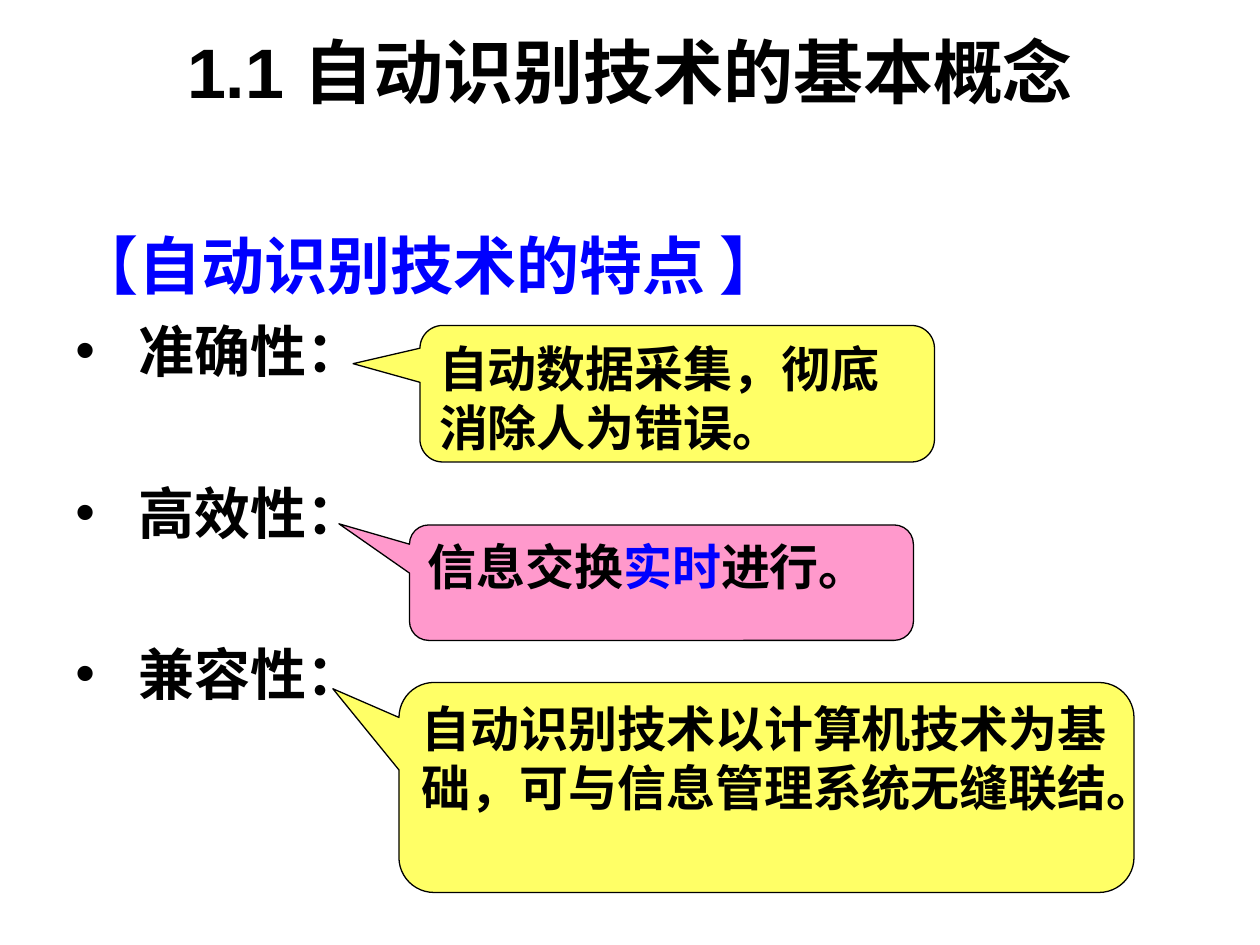
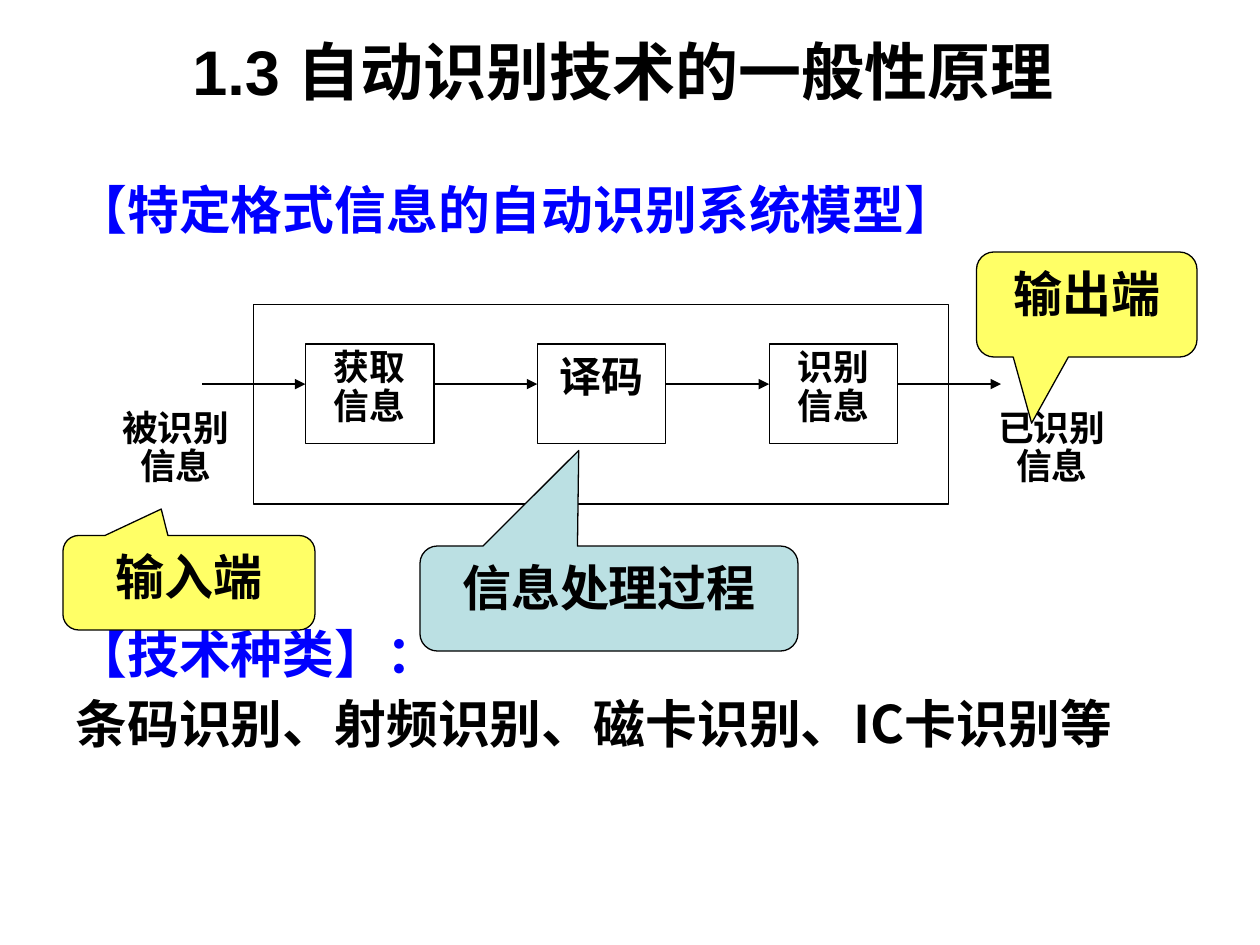
from dataclasses import dataclass

from lxml import etree
from pptx import Presentation
from pptx.dml.color import RGBColor
from pptx.enum.shapes import MSO_CONNECTOR, MSO_SHAPE
from pptx.enum.text import MSO_ANCHOR, PP_ALIGN
from pptx.oxml.ns import qn
from pptx.util import Pt

LEFT, MID = PP_ALIGN.LEFT, PP_ALIGN.CENTER
TOP, CENTRE = MSO_ANCHOR.TOP, MSO_ANCHOR.MIDDLE
RECT, BUBBLE = MSO_SHAPE.RECTANGLE, MSO_SHAPE.ROUNDED_RECTANGULAR_CALLOUT
LINE = MSO_CONNECTOR.STRAIGHT
TITLE_ONLY = 5


@dataclass(frozen=True)
class Theme:
    black: str = "000000"
    blue: str = "0000FF"
    white: str = "FFFFFF"
    yellow: str = "FFFF66"
    pink: str = "FF99CC"
    teal: str = "BBE0E3"
    sans: str = "Arial"
    body: str = "Noto Sans CJK SC"
    serif: str = "Times New Roman"
    head: float = 36
    point: float = 32
    note: float = 28
    topic: float = 29.6
    step: float = 24
    label: float = 20.4
    rule: float = 0.75


T = Theme()


def apply(obj, form):
    """Set each attribute named in the dict."""
    for key, value in form.items():
        setattr(obj, key, value)


def write(par, runs, size, face, form=None):
    """Fill a paragraph with (text, colour) runs."""
    apply(par, form or {})
    for text, tint in runs:
        run = par.add_run()
        run.text = text
        apply(run.font, {"size": Pt(size), "name": face, "bold": True})
        run.font.color.rgb = RGBColor.from_string(tint)


def indent(par, left, bullet=False):
    """Hang the first line, with a bullet if asked for."""
    props = par._p.get_or_add_pPr()
    props.set("marL", str(Pt(left)))
    props.set("indent", str(-Pt(left)))
    if bullet:
        etree.SubElement(props, qn("a:buFont")).set("typeface", T.sans)
        etree.SubElement(props, qn("a:buChar")).set("char", "•")


def add_slide(deck, title, size):
    """Start a slide with its centred title."""
    slide = deck.slides.add_slide(deck.slide_layouts[TITLE_ONLY])
    head = slide.shapes.title
    apply(head, {"left": Pt(36), "top": Pt(6),
                 "width": Pt(648), "height": Pt(68)})
    apply(head.text_frame, {"vertical_anchor": CENTRE, "word_wrap": True})
    write(head.text_frame.paragraphs[0], [(title, T.black)], size, T.sans,
          {"alignment": MID})
    return slide


def add_body(slide, box, rows, left, pitch=1.0):
    """Rows are (text, size, colour, space before, bullet)."""
    frame = slide.shapes.add_textbox(*map(Pt, box)).text_frame
    frame.word_wrap = True
    for i, (text, size, tint, gap, bullet) in enumerate(rows):
        par = frame.add_paragraph() if i else frame.paragraphs[0]
        form = {"alignment": LEFT, "line_spacing": pitch}
        if gap:
            form["space_before"] = Pt(gap)
        write(par, [(text, tint)], size, T.body, form)
        indent(par, left, bullet)


def add_box(slide, kind, box, fill=None, line=True):
    """Draw a flat shape."""
    shape = slide.shapes.add_shape(kind, *map(Pt, box))
    shape.shadow.inherit = False
    if fill:
        shape.fill.solid()
        shape.fill.fore_color.rgb = RGBColor.from_string(fill)
    else:
        shape.fill.background()
    if line:
        shape.line.color.rgb = RGBColor.from_string(T.black)
        shape.line.width = Pt(T.rule)
    else:
        shape.line.fill.background()
    apply(shape.text_frame, {"word_wrap": True, "vertical_anchor": TOP})
    return shape


def add_note(slide, box, tip, fill, runs, align=LEFT):
    """Draw a callout whose tip is given relative to its size."""
    shape = add_box(slide, BUBBLE, box, fill)
    for i, value in enumerate(tip):
        shape.adjustments[i] = value
    write(shape.text_frame.paragraphs[0], runs, T.note, T.sans,
          {"alignment": align})


def add_label(slide, box, text, size=T.label, pitch=0.9, line=True):
    """Draw a white box with a centred label."""
    shape = add_box(slide, RECT, box, T.white, line)
    write(shape.text_frame.paragraphs[0], [(text, T.black)], size, T.serif,
          {"alignment": MID, "line_spacing": pitch})


def add_arrow(slide, x, y, size):
    """Draw an arrow to the right."""
    arrow = slide.shapes.add_connector(LINE, Pt(x), Pt(y), Pt(x + size), Pt(y))
    arrow.line.color.rgb = RGBColor.from_string(T.black)
    arrow.line.width = Pt(T.rule)
    props = arrow._element.spPr
    etree.SubElement(props.find(qn("a:ln")), qn("a:tailEnd")).set("type", "triangle")
    etree.SubElement(props, qn("a:effectLst"))


def add_traits(deck):
    slide = add_slide(deck, "1.1 自动识别技术的基本概念", 40)
    # Heading and the three traits
    traits = ["准确性：", "高效性：", "兼容性："]
    rows = [("【自动识别技术的特点 】", T.head, T.blue, 0, False)]
    rows += [(name, T.point, T.black, 54 if i else 8, True)
             for i, name in enumerate(traits)]
    add_body(slide, (36, 126, 648, 356), rows, 36)
    # What each trait means
    add_note(slide, (240, 186, 294, 78), (-0.63, -0.22), T.yellow,
             [("自动数据采集，彻底消除人为错误。", T.black)])
    add_note(slide, (234, 300, 288, 66), (-0.64, -0.51), T.pink,
             [("信息交换", T.black), ("实时", T.blue), ("进行。", T.black)])
    add_note(slide, (228, 390, 420, 120), (-0.59, -0.47), T.yellow,
             [("自动识别技术以计算机技术为基础，可与信息管理系统无缝联结。", T.black)])


def add_model(deck):
    slide = add_slide(deck, "1.3 自动识别技术的一般性原理 ", 36)
    # Headings and the kinds of technology
    add_body(slide, (36, 102, 666, 396), [
        ("【特定格式信息的自动识别系统模型】", T.topic, T.blue, 0, False),
        ("【技术种类】：", T.topic, T.blue, 222, False),
        ("条码识别、射频识别、磁卡识别、IC卡识别等", T.topic, T.black, 8, False),
    ], 27, 0.9)
    # System frame, its steps and the flow through them
    add_box(slide, RECT, (145, 174, 397, 114))
    start, wide, gap = 115.5, 73.5, 59
    steps = [("获取信息", T.label, 0.9), ("译码", T.step, 1.0),
             ("识别信息", T.label, 0.9)]
    for i, (text, size, pitch) in enumerate(steps):
        x = start + gap + i * (wide + gap)
        add_label(slide, (x, 196.5, wide, 57), text, size, pitch)
    for i in range(len(steps) + 1):
        add_arrow(slide, start + i * (wide + gap), 219.5, gap)
    # Input and output
    for x, text in [(56.5, "被识别信息"), (557, "已识别信息")]:
        add_label(slide, (x, 231, 88, 57), text, line=False)
    # Callouts
    for box, tip, fill, text in [
        ((240, 312, 216, 60), (-0.08, -1.41), T.teal, "信息处理过程"),
        ((36, 306, 144, 54), (-0.11, -0.78), T.yellow, "输入端"),
        ((558, 144, 126, 60), (-0.25, 1.13), T.yellow, "输出端"),
    ]:
        add_note(slide, box, tip, fill, [(text, T.black)], MID)


def main():
    deck = Presentation()
    apply(deck, {"slide_width": Pt(720), "slide_height": Pt(540)})
    add_traits(deck)
    add_model(deck)
    deck.save("out.pptx")


if __name__ == "__main__":
    main()
